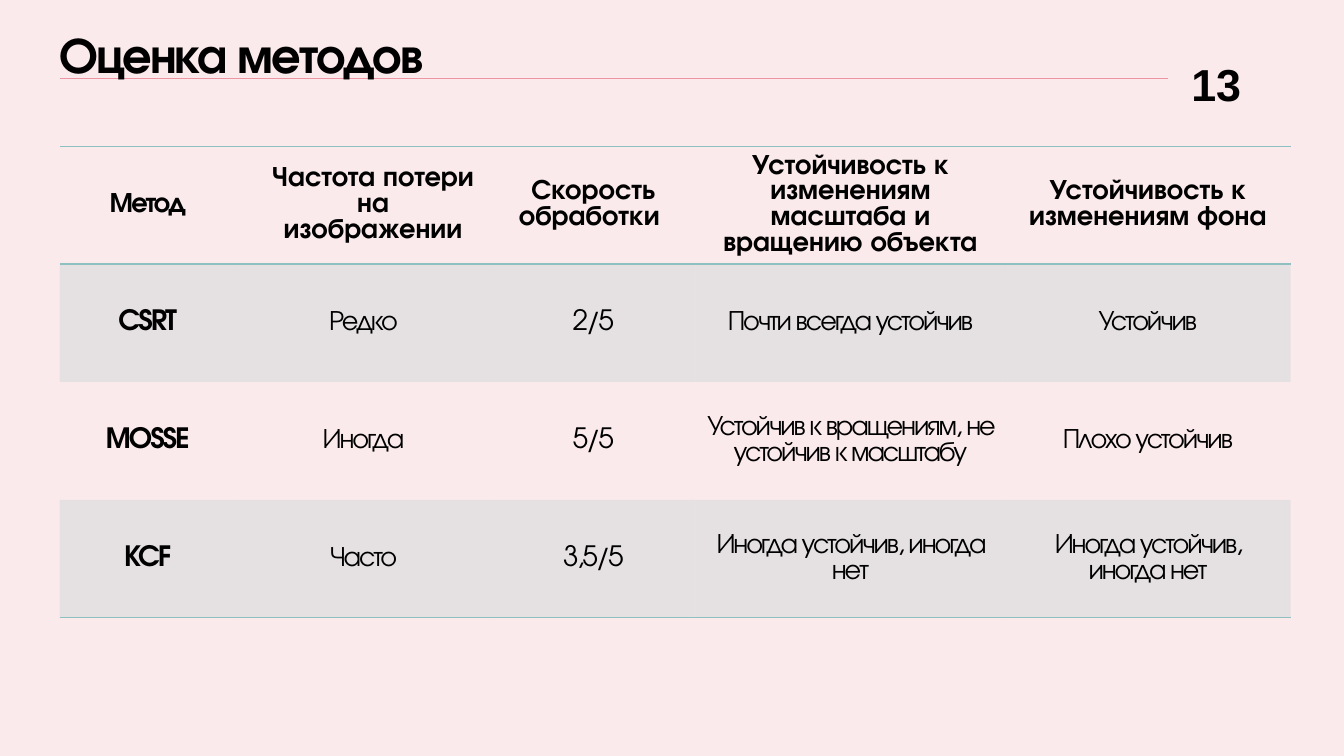
from lxml import etree
from pptx import Presentation
from pptx.dml.color import RGBColor
from pptx.enum.shapes import MSO_CONNECTOR as Link
from pptx.enum.text import MSO_ANCHOR as Anchor, MSO_AUTO_SIZE as Fit, PP_ALIGN as Align
from pptx.oxml.ns import qn
from pptx.util import Inches, Pt

# Content
TITLE = "Оценка методов"
NUMBER = "13"
ROWS = [
    ["Метод", "Частота потери на изображении", "Скорость обработки ",
     "Устойчивость к изменениям масштаба и вращению объекта",
     "Устойчивость к изменениям фона"],
    ["CSRT", "Редко", "2/5", "Почти всегда устойчив", "Устойчив"],
    ["MOSSE", "Иногда", "5/5", "Устойчив к вращениям, не устойчив к масштабу",
     "Плохо устойчив"],
    ["KCF", "Часто", "3,5/5", "Иногда устойчив, иногда нет",
     "Иногда устойчив, иногда нет"],
]
WIDTHS = [1.75, 2.53, 2.03, 3.07, 2.83]
HEIGHT = 1.17
LEFT = 0.59

# Style
FACE = "TeX Gyre Adventor"
BLACK = RGBColor(0x00, 0x00, 0x00)
PINK = RGBColor(0xFB, 0xEA, 0xEC)
ROSE = RGBColor(0xED, 0x95, 0xA2)
TEAL = RGBColor(0x8E, 0xC0, 0xC1)
PLAIN = "{2D5ABB26-0587-4C30-8999-92F81FD0307C}"  # table style without grid
TIGHT = -150  # letter spacing in hundredths of a point
PITCH = Pt(18.5)  # line pitch that keeps four header lines within the row


def write(para, text, size, face=FACE, bold=True, gap=0):
    run = para.add_run()
    run.text = text
    font = run.font
    font.name, font.size, font.bold = face, Pt(size), bold
    font.color.rgb = BLACK
    if gap:
        font._element.set("spc", str(gap))


def inset(frame, left, top, right, bottom):
    frame.margin_left, frame.margin_top = Inches(left), Inches(top)
    frame.margin_right, frame.margin_bottom = Inches(right), Inches(bottom)


def border(cell, side):
    line = etree.SubElement(cell._tc.get_or_add_tcPr(), qn("a:ln" + side), w=str(Pt(1)))
    fill = etree.SubElement(line, qn("a:solidFill"))
    etree.SubElement(fill, qn("a:srgbClr"), val=str(TEAL))


def tint(cell):
    cell.fill.solid()
    cell.fill.fore_color.rgb = TEAL
    color = cell._tc.tcPr.find(qn("a:solidFill")).find(qn("a:srgbClr"))
    etree.SubElement(color, qn("a:alpha"), val="20000")


def main():
    deck = Presentation()
    deck.slide_width, deck.slide_height = Inches(13.33), Inches(7.5)
    slide = deck.slides.add_slide(deck.slide_layouts[5])
    slide.background.fill.solid()
    slide.background.fill.fore_color.rgb = PINK
    shapes = slide.shapes

    # Title
    title = shapes.title
    title.left, title.top = Inches(LEFT), Inches(0.25)
    title.width, title.height = Inches(10.97), Inches(0.64)
    frame = title.text_frame
    frame.auto_size, frame.vertical_anchor = Fit.NONE, Anchor.MIDDLE
    inset(frame, 0, 0.05, 0.1, 0.05)
    para = frame.paragraphs[0]
    para.alignment, para.line_spacing = Align.LEFT, 0.9
    write(para, TITLE, 36, gap=TIGHT)

    # Rule behind the title
    rule = shapes.add_connector(Link.STRAIGHT, Inches(0.6), Inches(0.78),
                                Inches(11.58), Inches(0.78))
    rule.line.color.rgb, rule.line.width = ROSE, Pt(0.75)
    etree.SubElement(rule._element.spPr, qn("a:effectLst"))
    title._element.addprevious(rule._element)

    # Slide number
    box = shapes.add_textbox(Inches(11.31), Inches(0.56), Inches(1), Inches(0.53))
    frame = box.text_frame
    frame.word_wrap = True
    inset(frame, 0, 0, 0, 0)
    para = frame.paragraphs[0]
    para.alignment = Align.RIGHT
    write(para, NUMBER, 32, face="Arial")

    # Table
    holder = shapes.add_table(len(ROWS), len(WIDTHS), Inches(LEFT), Inches(1.45),
                              Inches(sum(WIDTHS)), Inches(HEIGHT * len(ROWS)))
    table = holder.table
    table.horz_banding = False
    table._tbl.tblPr.find(qn("a:tableStyleId")).text = PLAIN
    for col, width in zip(table.columns, WIDTHS):
        col.width = Inches(width)
    for r, texts in enumerate(ROWS):
        table.rows[r].height = Inches(HEIGHT)
        for c, text in enumerate(texts):
            cell = table.cell(r, c)
            cell.vertical_anchor = Anchor.MIDDLE
            para = cell.text_frame.paragraphs[0]
            para.alignment = Align.CENTER
            if (r, c) == (0, 1):
                para._p.get_or_add_pPr().set("marL", str(Inches(0.19)))
            head = r == 0
            write(para, text, 20, bold=head or c == 0,
                  gap=0 if head and c else TIGHT)
            if head:
                para.line_spacing = PITCH
                border(cell, "T")
            if head or r == len(ROWS) - 1:
                border(cell, "B")
            if r % 2:
                tint(cell)
            else:
                cell.fill.background()

    deck.save("out.pptx")


if __name__ == "__main__":
    main()
